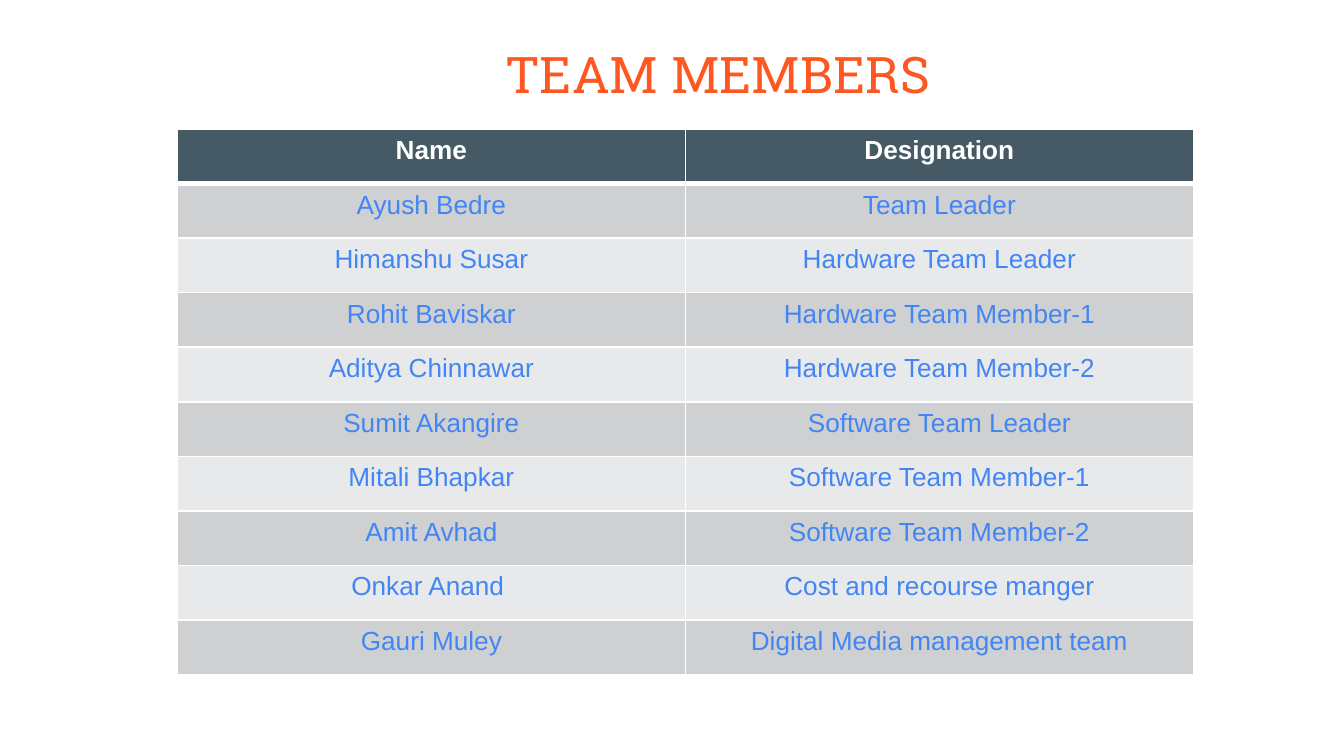
from lxml import etree
from pptx import Presentation
from pptx.dml.color import RGBColor
from pptx.enum.text import MSO_ANCHOR, PP_ALIGN
from pptx.oxml.ns import qn
from pptx.util import Inches, Pt

CENTER = PP_ALIGN.CENTER
MIDDLE = MSO_ANCHOR.MIDDLE
TITLE_ONLY = 5

TITLE = "TEAM MEMBERS"
HEADER = ("Name", "Designation")
MEMBERS = [
    ("Ayush Bedre", "Team Leader"),
    ("Himanshu Susar", "Hardware Team Leader"),
    ("Rohit Baviskar", "Hardware Team Member-1"),
    ("Aditya Chinnawar", "Hardware Team Member-2"),
    ("Sumit Akangire", "Software Team Leader"),
    ("Mitali Bhapkar", "Software Team Member-1"),
    ("Amit Avhad", "Software Team Member-2"),
    ("Onkar Anand ", "Cost and recourse manger"),
    ("Gauri Muley", "Digital Media management team"),
]

COLORS = {
    "title": "FF5722",
    "header": "455A64",
    "header_text": "FFFFFF",
    "odd": "CED0D2",
    "even": "E8E9EA",
    "member_text": "4285F4",
    "border": "FFFFFF",
}
TITLE_FONT = {"name": "Roboto Slab", "size": Pt(27), "bold": False}
HEADER_FONT = {"name": "Arial", "size": Pt(14), "bold": True}
MEMBER_FONT = {**HEADER_FONT, "bold": False}


def rgb(key):
    return RGBColor.from_string(COLORS[key])


def write(tf, text, font, color):
    p = tf.paragraphs[0]
    p.alignment = CENTER
    r = p.add_run()
    r.text = text
    for name, value in font.items():
        setattr(r.font, name, value)
    r.font.color.rgb = rgb(color)


def set_borders(cell, widths):
    """Draw the cell's edges; widths maps an edge tag to points."""
    tc_pr = cell._tc.get_or_add_tcPr()
    for i, (edge, width) in enumerate(widths.items()):
        ln = etree.Element(qn(f"a:{edge}"), w=str(Pt(width)))
        fill = etree.SubElement(ln, qn("a:solidFill"))
        etree.SubElement(fill, qn("a:srgbClr"), val=COLORS["border"])
        tc_pr.insert(i, ln)  # edges come before the fill


prs = Presentation()
prs.slide_width = Inches(10)
prs.slide_height = prs.slide_width * 9 // 16
s = prs.slides.add_slide(prs.slide_layouts[TITLE_ONLY])

title = s.shapes.title
title.left, title.top = Inches(0.68), Inches(0.23)
title.width, title.height = Inches(9.32), Inches(0.63)
tf = title.text_frame
tf.vertical_anchor = MIDDLE
for side in ("left", "top", "right", "bottom"):
    setattr(tf, f"margin_{side}", Inches(0.1))
write(tf, TITLE, TITLE_FONT, "title")

rows = [HEADER, *MEMBERS]
table = s.shapes.add_table(
    len(rows), len(HEADER), Inches(1.32), Inches(0.96), Inches(7.56), Inches(4.06)
).table

for i, row in enumerate(rows):
    if i == 0:
        fill, font, color = "header", HEADER_FONT, "header_text"
    else:
        fill, font, color = "odd" if i % 2 else "even", MEMBER_FONT, "member_text"
    widths = {"lnL": 1, "lnR": 1, "lnT": 3 if i == 1 else 1, "lnB": 3 if i == 0 else 1}
    for j, text in enumerate(row):
        cell = table.cell(i, j)
        cell.fill.solid()
        cell.fill.fore_color.rgb = rgb(fill)
        write(cell.text_frame, text, font, color)
        set_borders(cell, widths)

prs.save("out.pptx")
